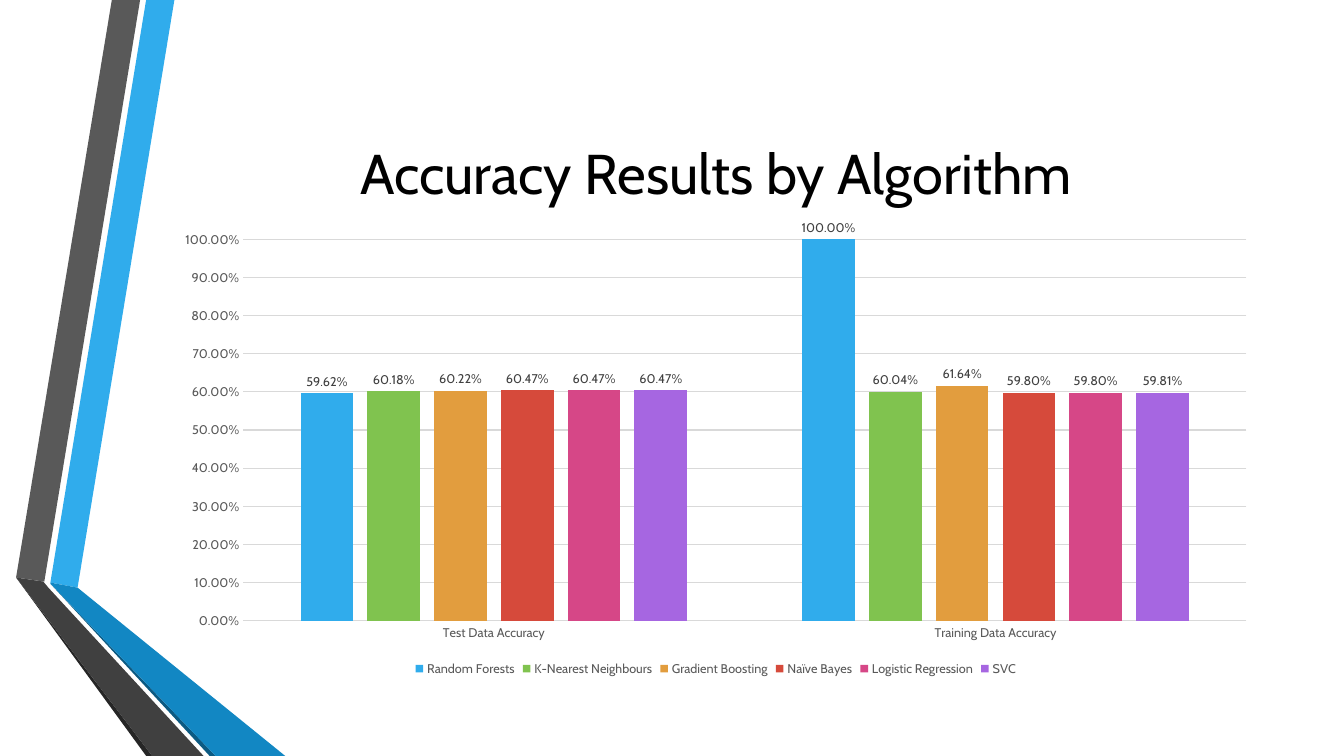
"""Build the slide that compares algorithm accuracy in a column chart."""
import pptx
import pptx.chart.data
import pptx.dml.color
import pptx.enum.chart
import pptx.enum.text
import pptx.util

Inches = pptx.util.Inches
Pt = pptx.util.Pt
RGBColor = pptx.dml.color.RGBColor
enum = pptx.enum.chart

FONT = "Cabin"
PERCENT = "0.00%"
BLACK = RGBColor(0x00, 0x00, 0x00)
DARK = RGBColor(0x40, 0x40, 0x40)
GRAY = RGBColor(0x59, 0x59, 0x59)
PALE = RGBColor(0xD9, 0xD9, 0xD9)
COAL = RGBColor(0x26, 0x26, 0x26)
BLUE = RGBColor(0x30, 0xAC, 0xEC)
DEEP = RGBColor(0x12, 0x87, 0xC3)
NAVY = RGBColor(0x0C, 0x5A, 0x82)
GREEN = RGBColor(0x80, 0xC3, 0x4F)
AMBER = RGBColor(0xE2, 0x9D, 0x3E)
RED = RGBColor(0xD6, 0x4A, 0x3B)
PINK = RGBColor(0xD6, 0x47, 0x87)
VIOLET = RGBColor(0xA6, 0x66, 0xE1)


def style(font, size, color):
    font.name = FONT
    font.size = Pt(size)
    font.color.rgb = color


deck = pptx.Presentation()
deck.slide_width = Inches(13.33)
deck.slide_height = Inches(7.5)
slide = deck.slides.add_slide(deck.slide_layouts[5])

bands = [
    (BLUE, [(0.5, 5.78), (0.77, 5.83), (1.73, 0), (1.45, 0)]),
    (GRAY, [(1.39, 0), (1.11, 0), (0.16, 5.73), (0.44, 5.77)]),
    (COAL, [(0.16, 5.73), (1.45, 7.5), (1.51, 7.5)]),
    (NAVY, [(0.5, 5.79), (2.08, 7.5), (2.14, 7.5)]),
    (DEEP, [(0.5, 5.78), (0.5, 5.79), (2.14, 7.5), (2.83, 7.5), (0.77, 5.83)]),
    (DARK, [(2.02, 7.5), (0.48, 5.83), (0.43, 5.77), (0.16, 5.73), (1.51, 7.5)]),
]
for color, points in bands:
    start, *rest = [(Inches(x), Inches(y)) for x, y in points]
    pen = slide.shapes.build_freeform(*start)
    pen.add_line_segments(rest, close=True)
    band = pen.convert_to_shape()
    band.shadow.inherit = False
    band.fill.solid()
    band.fill.fore_color.rgb = color
    band.line.fill.background()

title = slide.shapes.title
title.left, title.top = Inches(1.62), Inches(0.75)
title.width, title.height = Inches(10.96), Inches(1.92)
frame = title.text_frame
frame.word_wrap = True
frame.vertical_anchor = pptx.enum.text.MSO_ANCHOR.MIDDLE
para = frame.paragraphs[0]
para.alignment = pptx.enum.text.PP_ALIGN.CENTER
run = para.add_run()
run.text = "Accuracy Results by Algorithm"
style(run.font, 40, BLACK)

scores = [
    ("Random Forests", (0.5962, 1), BLUE),
    ("K-Nearest Neighbours", (0.6018, 0.6004), GREEN),
    ("Gradient Boosting", (0.6022, 0.6164), AMBER),
    ("Naïve Bayes", (0.6047, 0.598), RED),
    ("Logistic Regression", (0.6047, 0.598), PINK),
    ("SVC", (0.6047, 0.5981), VIOLET),
]
data = pptx.chart.data.CategoryChartData(number_format=PERCENT)
data.categories = ["Test Data Accuracy", "Training Data Accuracy"]
for name, values, color in scores:
    data.add_series(name, values)

chart = slide.shapes.add_chart(
    enum.XL_CHART_TYPE.COLUMN_CLUSTERED,
    Inches(1.62), Inches(2.18), Inches(10.96), Inches(4.57), data,
).chart
style(chart.font, 10, BLACK)
chart.has_title = False
chart.has_legend = True
chart.legend.position = enum.XL_LEGEND_POSITION.BOTTOM
chart.legend.include_in_layout = False
style(chart.legend.font, 9, GRAY)

for axis in (chart.category_axis, chart.value_axis):
    axis.major_tick_mark = enum.XL_TICK_MARK.NONE
    axis.minor_tick_mark = enum.XL_TICK_MARK.NONE
    style(axis.tick_labels.font, 9, GRAY)

scale = chart.value_axis
scale.minimum_scale, scale.maximum_scale = 0, 1
scale.major_unit = 0.1
scale.tick_labels.number_format = PERCENT
scale.tick_labels.number_format_is_linked = False
scale.format.line.fill.background()
scale.has_major_gridlines = True
for line in (chart.category_axis.format.line, scale.major_gridlines.format.line):
    line.color.rgb = PALE
    line.width = Pt(0.75)

plot = chart.plots[0]
plot.gap_width = 219
plot.overlap = -27
plot.vary_by_categories = False
for series, (name, values, color) in zip(plot.series, scores):
    series.format.fill.solid()
    series.format.fill.fore_color.rgb = color
    series.invert_if_negative = False
    labels = series.data_labels
    labels.show_value = True
    labels.position = enum.XL_LABEL_POSITION.OUTSIDE_END
    labels.number_format = PERCENT
    labels.number_format_is_linked = False
    style(labels.font, 9, DARK)

deck.save("out.pptx")
